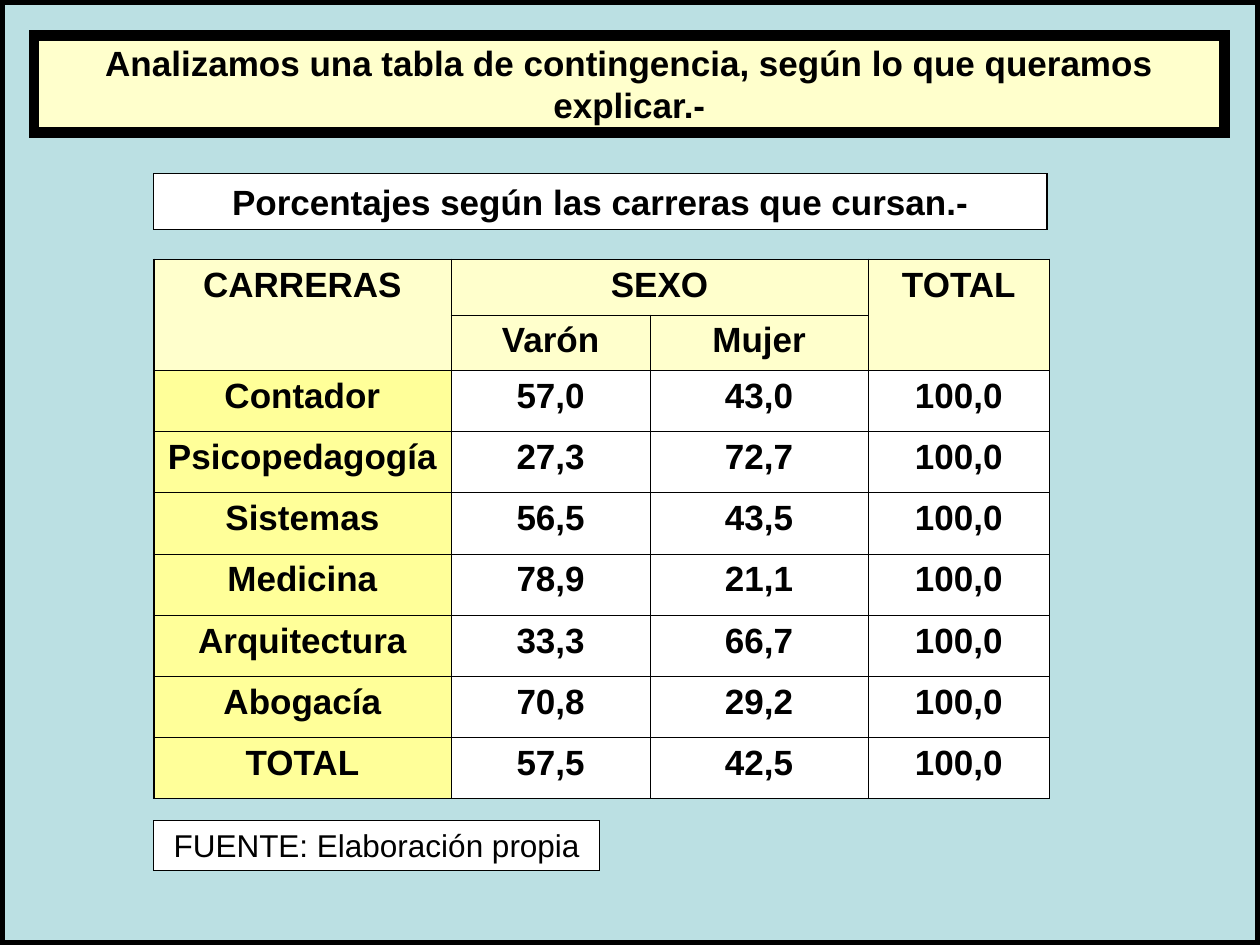
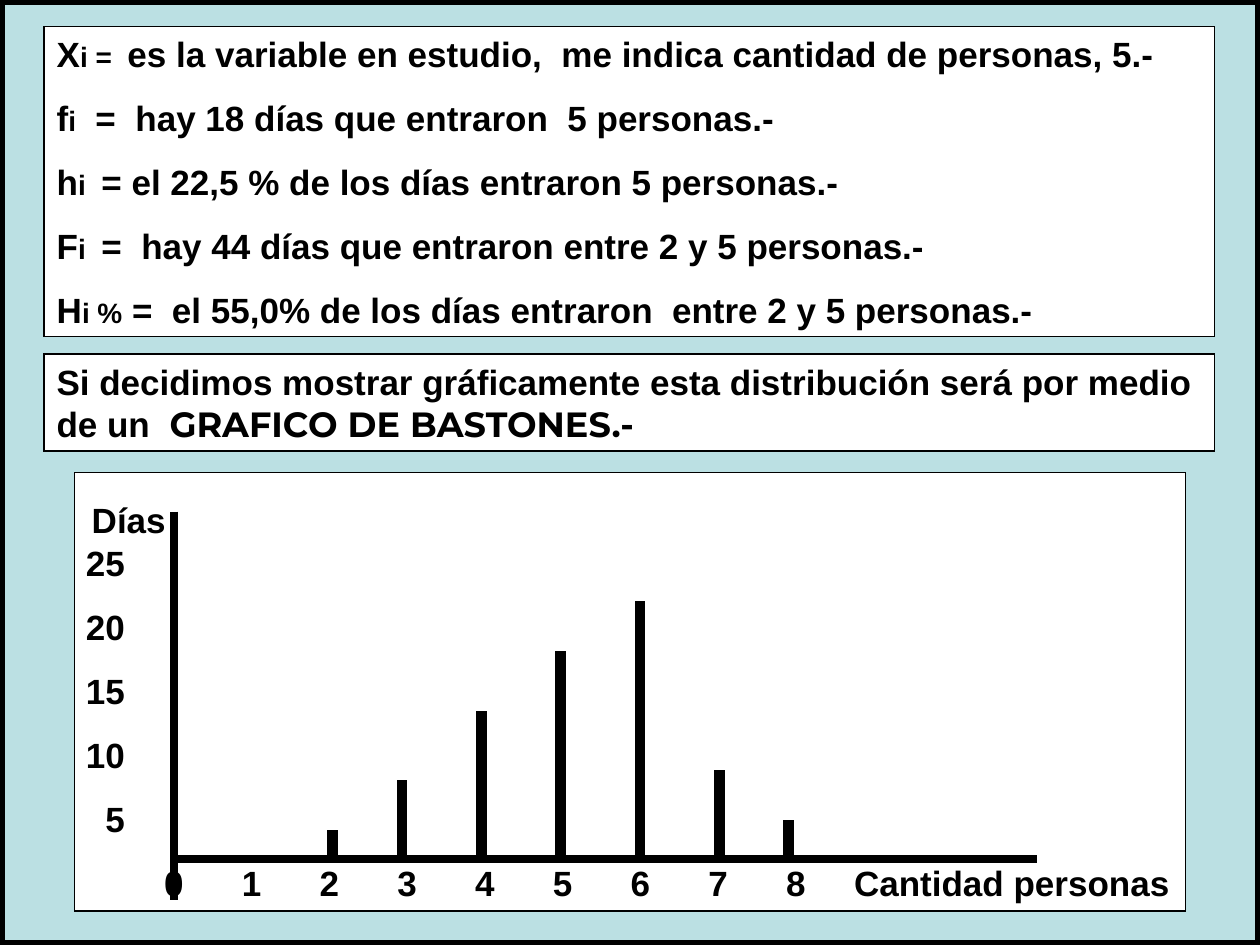
from lxml import etree
from pptx import Presentation
from pptx.dml.color import RGBColor
from pptx.enum.shapes import MSO_CONNECTOR, MSO_SHAPE
from pptx.enum.text import MSO_ANCHOR, MSO_AUTO_SIZE, PP_ALIGN
from pptx.oxml.ns import qn
from pptx.util import Inches, Pt

COLORS = {"black": "000000", "white": "FFFFFF", "back": "BBE0E3",
          "cream": "FFFFCC", "yellow": "FFFF99"}
FONT = "Arial"
PARA_GAP = 12.5

HEADER = [["CARRERAS", "SEXO", "", "TOTAL"], ["", "Varón", "Mujer", ""]]
PERCENTAGES = [
    ["Contador", "57,0", "43,0", "100,0"],
    ["Psicopedagogía", "27,3", "72,7", "100,0"],
    ["Sistemas", "56,5", "43,5", "100,0"],
    ["Medicina", "78,9", "21,1", "100,0"],
    ["Arquitectura", "33,3", "66,7", "100,0"],
    ["Abogacía", "70,8", "29,2", "100,0"],
    ["TOTAL", "57,5", "42,5", "100,0"],
]
# Symbol, small subscript, meaning
DEFINITIONS = [
    ("X", "i =  ", "es la variable en estudio,  me indica cantidad de personas, 5.-"),
    ("f", "i", "  =  hay 18 días que entraron  5 personas.-"),
    ("h", "i  ", "= el 22,5 % de los días entraron 5 personas.-"),
    ("F", "i  ", "=  hay 44 días que entraron entre 2 y 5 personas.-"),
    ("H", "i %", " =  el 55,0% de los días entraron  entre 2 y 5 personas.-"),
]
# Stick position and top end, in inches
STICKS = [(2.64, 6.59), (3.19, 6.19), (3.82, 5.64), (4.45, 5.17),
          (5.08, 4.77), (5.71, 6.11), (6.26, 6.51)]
AXIS_X, AXIS_Y = 1.38, 6.82


def rgb(name):
    return RGBColor.from_string(COLORS[name])


def add_run(p, text, size=20, bold=True, font=FONT):
    r = p.add_run()
    r.text = text
    r.font.size = Pt(size)
    r.font.bold = bold
    r.font.name = font
    r.font.color.rgb = rgb("black")


def write(tf, paragraphs, align=PP_ALIGN.LEFT, anchor=MSO_ANCHOR.TOP):
    """Each paragraph is a list of run tuples: text, size, bold, font."""
    tf.word_wrap = True
    tf.auto_size = MSO_AUTO_SIZE.NONE
    tf.vertical_anchor = anchor
    for i, runs in enumerate(paragraphs):
        p = tf.add_paragraph() if i else tf.paragraphs[0]
        p.alignment = align
        p.space_before = Pt(PARA_GAP if i else 0)
        for run in runs:
            add_run(p, *run)


def place(sp, left, top, width, height):
    sp.left, sp.top = Inches(left), Inches(top)
    sp.width, sp.height = Inches(width), Inches(height)


def paint(sp, fill="white", line=0.75):
    sp.fill.solid()
    sp.fill.fore_color.rgb = rgb(fill)
    sp.line.color.rgb = rgb("black")
    sp.line.width = Pt(line)
    # Square corners
    ln = sp.element.spPr.find(qn("a:ln"))
    etree.SubElement(ln, qn("a:miter"), lim="800000")


def add_box(s, left, top, width, height, fill="white", line=0.75):
    sp = s.shapes.add_shape(MSO_SHAPE.RECTANGLE, Inches(left), Inches(top),
                            Inches(width), Inches(height))
    sp.shadow.inherit = False
    paint(sp, fill, line)
    return sp


def add_label(s, left, top, width, height, lines, align=PP_ALIGN.LEFT):
    sp = s.shapes.add_textbox(Inches(left), Inches(top), Inches(width), Inches(height))
    write(sp.text_frame, [[(line,)] for line in lines], align)


def add_line(s, x1, y1, x2, y2, width):
    ln = s.shapes.add_connector(MSO_CONNECTOR.STRAIGHT, Inches(x1), Inches(y1),
                                Inches(x2), Inches(y2))
    ln.line.color.rgb = rgb("black")
    ln.line.width = Pt(width)
    etree.SubElement(ln.element.spPr, qn("a:effectLst"))


def add_framed_slide(prs, layout):
    s = prs.slides.add_slide(prs.slide_layouts[layout])
    frame = add_box(s, 0, 0, 10, 7.5, "back", 6).element
    frame.getparent().insert(2, frame)  # behind the placeholders
    return s


def set_borders(cell, widths):
    tcPr = cell._tc.get_or_add_tcPr()
    for i, (side, width) in enumerate(widths.items()):
        ln = etree.Element(qn(f"a:ln{side}"), w=str(Pt(width)))
        fill = etree.SubElement(ln, qn("a:solidFill"))
        etree.SubElement(fill, qn("a:srgbClr"), val=COLORS["black"])
        tcPr.insert(i, ln)


def add_percentage_table(s):
    rows = HEADER + PERCENTAGES
    widths = [2.36, 1.58, 1.73, 1.44]
    height, header_row = 4.28, 0.44
    data_row = (height - header_row * len(HEADER)) / len(PERCENTAGES)
    tbl = s.shapes.add_table(len(rows), len(widths), Inches(1.22), Inches(2.06),
                             Inches(sum(widths)), Inches(height)).table
    tbl.first_row = tbl.horz_banding = False
    for col, width in zip(tbl.columns, widths):
        col.width = Inches(width)
    for i, row in enumerate(tbl.rows):
        row.height = Inches(header_row if i < len(HEADER) else data_row)

    last_row, last_col = len(rows) - 1, len(widths) - 1
    outer, inner = 1.08, 0.45
    for i, row in enumerate(rows):
        for j, text in enumerate(row):
            cell = tbl.cell(i, j)
            fill = "cream" if i < len(HEADER) else "white" if j else "yellow"
            cell.fill.solid()
            cell.fill.fore_color.rgb = rgb(fill)
            set_borders(cell, {"L": inner if j else outer,
                               "R": outer if j == last_col else inner,
                               "T": inner if i else outer,
                               "B": outer if i == last_row else inner})
            if text:
                p = cell.text_frame.paragraphs[0]
                p.alignment = PP_ALIGN.CENTER
                add_run(p, text)

    for first, last in [((0, 0), (1, 0)), ((0, 1), (0, 2)), ((0, 3), (1, 3))]:
        tbl.cell(*first).merge(tbl.cell(*last))


def add_stick_plot(s):
    add_box(s, 0.59, 3.75, 8.82, 3.48)
    # Scales
    add_label(s, 0.39, 4.25, 0.7, 2.5, ["25", "20", "15", "10", "5"], PP_ALIGN.RIGHT)
    for n in range(9):
        add_label(s, AXIS_X + 0.617 * n - 0.25, 6.79, 0.5, 0.42, [str(n)],
                  PP_ALIGN.CENTER)
    add_label(s, 6.68, 6.79, 2.73, 0.42, ["Cantidad personas"])
    # Axes and sticks
    add_line(s, AXIS_X, 4.06, AXIS_X, 7.14, 4.5)
    add_line(s, AXIS_X, AXIS_Y, 8.23, AXIS_Y, 4.5)
    for x, top in STICKS:
        add_line(s, x, AXIS_Y, x, top, 6)
    add_label(s, 0.63, 3.91, 0.9, 0.44, ["Días"])


def contingency_slide(prs):
    s = add_framed_slide(prs, 5)
    title = s.shapes.title
    place(title, 0.27, 0.28, 9.45, 0.77)
    paint(title, "cream", 6)
    write(title.text_frame,
          [[("Analizamos una tabla de contingencia, según lo que queramos explicar.-",)]],
          PP_ALIGN.CENTER)
    sp = add_box(s, 1.22, 1.38, 7.09, 0.44)
    write(sp.text_frame, [[("Porcentajes según las carreras que cursan.-",)]],
          PP_ALIGN.CENTER)
    add_percentage_table(s)
    sp = add_box(s, 1.22, 6.51, 3.54, 0.4)
    write(sp.text_frame, [[("FUENTE: Elaboración propia", 18, False)]],
          PP_ALIGN.CENTER)


def stick_plot_slide(prs):
    s = add_framed_slide(prs, 1)
    title = s.shapes.title.element
    title.getparent().remove(title)
    # Definitions
    body = s.placeholders[1]
    place(body, 0.35, 0.21, 9.29, 2.46)
    paint(body)
    write(body.text_frame, [[(symbol,), (sub, 16), (meaning,)]
                            for symbol, sub, meaning in DEFINITIONS])
    for p in body.text_frame.paragraphs:
        pPr = p._p.get_or_add_pPr()
        pPr.set("marL", "0")
        pPr.set("indent", "0")
        etree.SubElement(pPr, qn("a:buNone"))
    # Kind of graph
    sp = add_box(s, 0.35, 2.81, 9.29, 0.77)
    write(sp.text_frame, [[
        ("Si decidimos mostrar gráficamente esta distribución será por medio de un  ",),
        ("GRAFICO DE BASTONES.-", 20, True, "Montserrat")]])
    add_stick_plot(s)


def main():
    prs = Presentation()
    prs.slide_width, prs.slide_height = Inches(10), Inches(7.5)
    contingency_slide(prs)
    stick_plot_slide(prs)
    prs.save("out.pptx")


if __name__ == "__main__":
    main()
